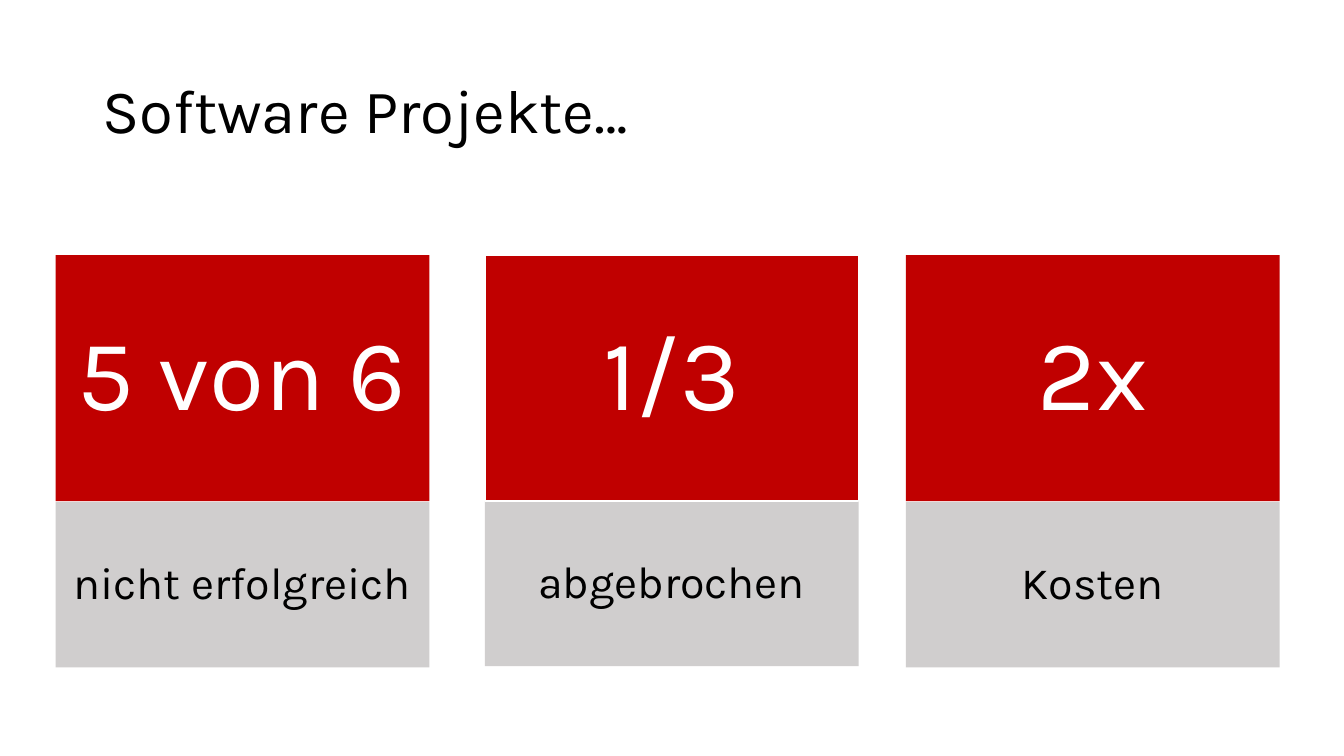
from pptx import Presentation
from pptx.dml.color import RGBColor
from pptx.enum.shapes import MSO_SHAPE
from pptx.enum.text import MSO_ANCHOR, PP_ALIGN
from pptx.util import Cm, Pt

RED = RGBColor(0xC0, 0x00, 0x00)
GREY = RGBColor(0xD0, 0xCE, 0xCE)
BLACK = RGBColor(0x00, 0x00, 0x00)
WHITE = RGBColor(0xFF, 0xFF, 0xFF)
FONT = "Karla"

CARD_WIDTH = 9.42
FIGURE_TOP, FIGURE_HEIGHT = 6.43, 6.2
CAPTION_HEIGHT = 4.17
CARDS = [
    (1.4, 12.65, "5 von 6", "nicht erfolgreich", None),
    (12.22, 12.62, "1/3", "abgebrochen", WHITE),
    (22.83, 12.65, "2x", "Kosten", None),
]


def write_text(frame, text, size, color=BLACK, align=PP_ALIGN.CENTER, before=6):
    frame.word_wrap = True
    frame.vertical_anchor = MSO_ANCHOR.MIDDLE
    paragraph = frame.paragraphs[0]
    paragraph.alignment = align
    paragraph.line_spacing = 0.9
    paragraph.space_before = Pt(before)
    run = paragraph.add_run()
    run.text = text
    run.font.name = FONT
    run.font.size = Pt(size)
    run.font.color.rgb = color


def add_title(slide, text):
    title = slide.shapes.add_textbox(Cm(2.33), Cm(1.01), Cm(29.21), Cm(3.68))
    write_text(title.text_frame, text, size=44, align=PP_ALIGN.LEFT, before=0)


def add_panel(slide, left, top, height, fill, text, border=None, **text_format):
    panel = slide.shapes.add_shape(
        MSO_SHAPE.RECTANGLE, Cm(left), Cm(top), Cm(CARD_WIDTH), Cm(height))
    panel.shadow.inherit = False
    panel.fill.solid()
    panel.fill.fore_color.rgb = fill
    if border is None:
        panel.line.fill.background()
    else:
        panel.line.color.rgb = border
        panel.line.width = Pt(1)
    write_text(panel.text_frame, text, **text_format)


def add_card(slide, left, caption_top, figure, caption, border):
    add_panel(slide, left, caption_top, CAPTION_HEIGHT, GREY, caption, size=32)
    add_panel(slide, left, FIGURE_TOP, FIGURE_HEIGHT, RED, figure,
              border=border, size=72, color=WHITE)


def main():
    presentation = Presentation()
    presentation.slide_width = Cm(33.87)
    presentation.slide_height = Cm(19.05)
    slide = presentation.slides.add_slide(presentation.slide_layouts[6])
    add_title(slide, "Software Projekte…")
    for card in CARDS:
        add_card(slide, *card)
    presentation.save("out.pptx")


if __name__ == "__main__":
    main()
